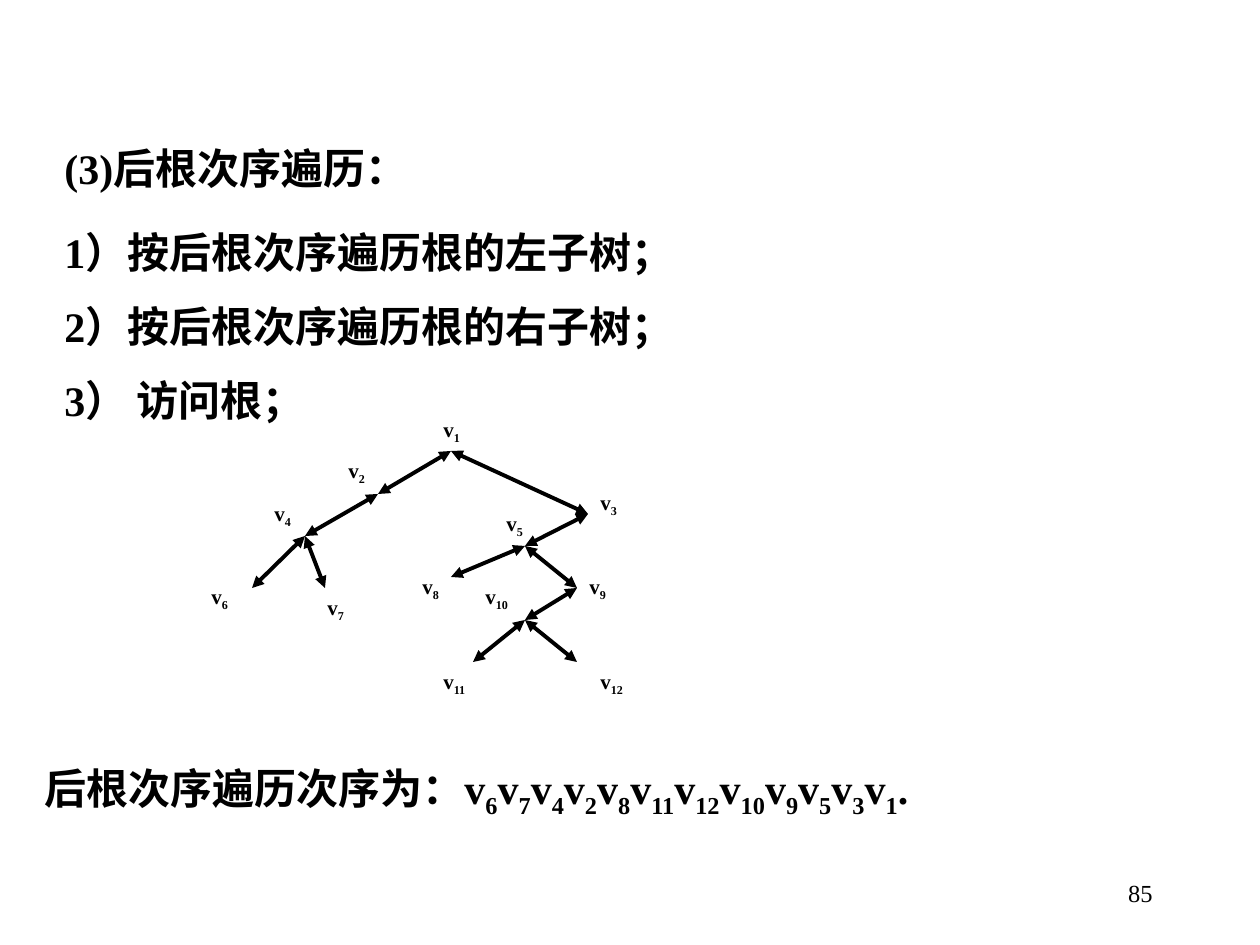
import pptx
import pptx.util
import pptx.dml.color
import pptx.enum.shapes
import pptx.enum.text
import lxml.etree
import pptx.oxml.ns

HUES = {"ink": "000000"}
FACE = "Times New Roman"
SCALE = 914400 / 126

STEPS = [
    ("(3)后根次序遍历：", 136),
    ("1）按后根次序遍历根的左子树；", 220),
    ("2）按后根次序遍历根的右子树；", 294),
    ("3） 访问根；", 368),
]
NODES = {
    1: ((451, 451), (431, 410)),
    2: ((378, 494), (336, 451)),
    3: ((588, 514), (588, 483)),
    4: ((305, 536), (262, 494)),
    5: ((525, 546), (494, 504)),
    6: ((252, 588), (199, 577)),
    7: ((325, 588), (315, 588)),
    8: ((451, 577), (410, 567)),
    9: ((577, 588), (577, 567)),
    10: ((525, 620), (473, 577)),
    11: ((473, 662), (431, 662)),
    12: ((577, 662), (588, 662)),
}
TREE = {1: [2, 3], 2: [4], 4: [6, 7], 3: [5], 5: [8, 9], 9: [10], 10: [11, 12]}
LEAD = "后根次序遍历次序为："
PAGE = "85"


def px(num):
    return round(num * SCALE)


def walk(node):
    order = []
    for kid in TREE.get(node, []):
        order += walk(kid)
    return order + [node]


def tint(text):
    return pptx.dml.color.RGBColor.from_string(HUES[text])


def add_text(slide, area, parts, size, bold=True):
    frame = slide.shapes.add_textbox(*map(px, area)).text_frame
    frame.word_wrap = True
    para = frame.paragraphs[0]
    look = {"size": pptx.util.Pt(size), "name": FACE, "bold": bold}
    for text, sub in parts:
        run = para.add_run()
        run.text = text
        for key, val in look.items():
            setattr(run.font, key, val)
        run.font.color.rgb = tint("ink")
        if sub:
            run._r.get_or_add_rPr().set("baseline", "-25000")
    return frame


def add_edge(slide, start, end):
    kind = pptx.enum.shapes.MSO_CONNECTOR.STRAIGHT
    edge = slide.shapes.add_connector(kind, *map(px, start + end))
    edge.line.width = pptx.util.Pt(2.25)
    edge.line.color.rgb = tint("ink")
    line = edge.line._get_or_add_ln()
    for tag in ("a:headEnd", "a:tailEnd"):
        tip = lxml.etree.SubElement(line, pptx.oxml.ns.qn(tag))
        tip.set("type", "triangle")
    lxml.etree.SubElement(edge._element.spPr, pptx.oxml.ns.qn("a:effectLst"))


def main():
    deck = pptx.Presentation()
    deck.slide_width, deck.slide_height = px(1260), px(945)
    slide = deck.slides.add_slide(deck.slide_layouts[6])

    for text, top in STEPS:
        add_text(slide, (52, top, 1092, 63), [(text, False)], 24)

    for node, kids in TREE.items():
        for kid in kids:
            add_edge(slide, NODES[node][0], NODES[kid][0])
    for node, (_, spot) in NODES.items():
        wide = 63 if node > 9 else 44
        add_text(slide, spot + (wide, 42), [("v", False), (str(node), True)], 12)

    parts = [(LEAD, False)]
    for node in walk(1):
        parts += [("v", False), (str(node), True)]
    add_text(slide, (32, 756, 1102, 71), parts + [(".", False)], 24)

    foot = add_text(slide, (903, 861, 262, 63), [(PAGE, False)], 14, False)
    foot.vertical_anchor = pptx.enum.text.MSO_ANCHOR.MIDDLE
    foot.paragraphs[0].alignment = pptx.enum.text.PP_ALIGN.RIGHT

    deck.save("out.pptx")


if __name__ == "__main__":
    main()
